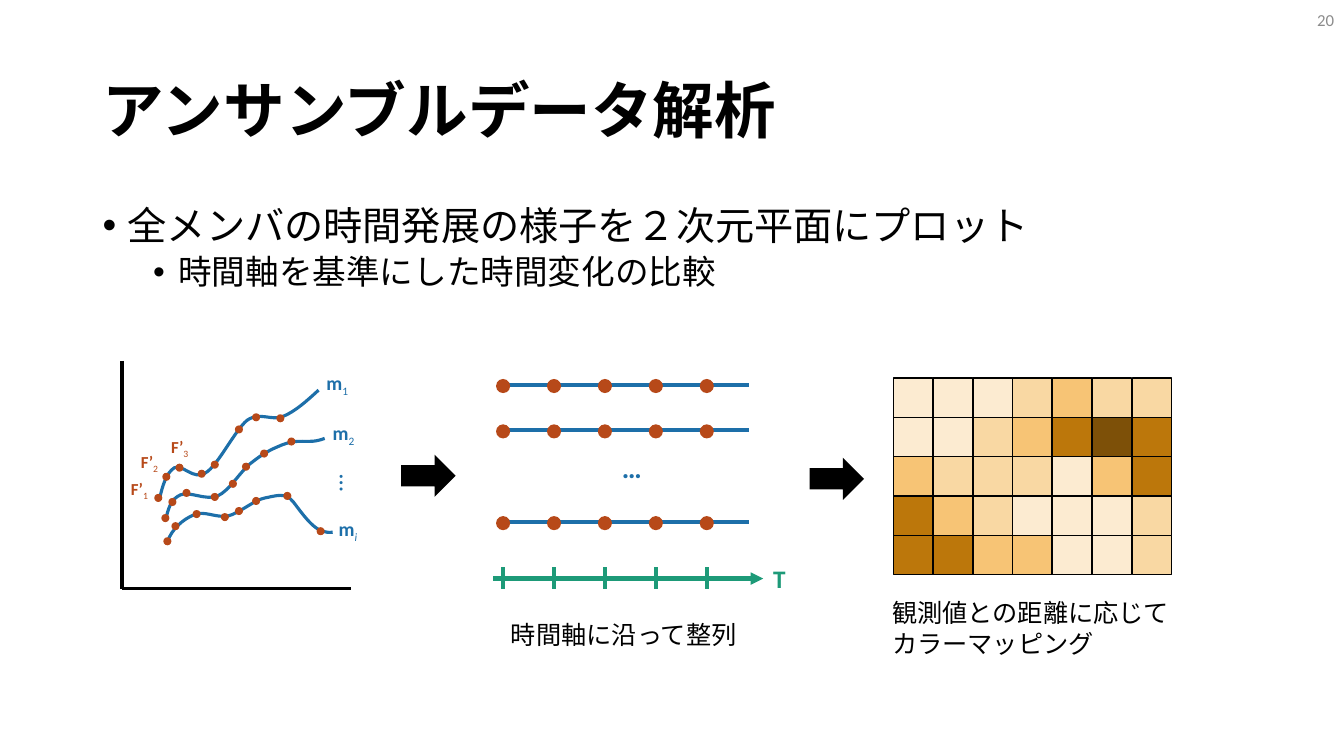
import lxml.etree
import pptx
import pptx.dml.color
import pptx.enum.shapes
import pptx.enum.text
import pptx.oxml.ns
import pptx.util

Inches = pptx.util.Inches
Pt = pptx.util.Pt
RGBColor = pptx.dml.color.RGBColor
SHAPE = pptx.enum.shapes.MSO_SHAPE
ANCHOR = pptx.enum.text.MSO_ANCHOR
ALIGN = pptx.enum.text.PP_ALIGN
qn = pptx.oxml.ns.qn

FONT = "Calibri"
BLACK = RGBColor(0x00, 0x00, 0x00)
GRAY = RGBColor(0x8C, 0x8C, 0x8C)
BLUE = RGBColor(0x1D, 0x6F, 0xA9)
RUST = RGBColor(0xB7, 0x49, 0x19)
GREEN = RGBColor(0x1D, 0x9A, 0x78)
DISTANCE_COLORS = [
    RGBColor(0xFC, 0xEB, 0xD1),
    RGBColor(0xF9, 0xD8, 0xA3),
    RGBColor(0xF7, 0xC4, 0x75),
    RGBColor(0xBC, 0x77, 0x0B),
    RGBColor(0x7D, 0x50, 0x08),
]
DISTANCES = ["0001211", "0012343", "2111023", "3210001", "3322001"]

MEMBER_CURVES = [
    [(1.58, 4.96), (1.61, 4.82), (1.65, 4.69), (1.73, 4.64), (1.81, 4.6), (1.92, 4.77),
     (2.04, 4.69), (2.16, 4.62), (2.33, 4.27), (2.45, 4.17), (2.58, 4.08), (2.69, 4.18),
     (2.81, 4.13), (2.93, 4.08), (3.04, 3.98), (3.16, 3.87)],
    [(1.66, 5.38), (1.7, 5.25), (1.82, 5.15), (1.92, 5.11), (2.02, 5.06), (2.14, 5.14),
     (2.26, 5.12), (2.38, 5.09), (2.52, 4.96), (2.63, 4.94), (2.74, 4.92), (2.83, 4.88),
     (2.91, 4.98), (3.06, 5.18), (3.15, 5.3), (3.3, 5.28)],
    [(1.64, 5.17), (1.67, 5.03), (1.7, 4.95), (1.79, 4.91), (1.88, 4.87), (2.04, 4.97),
     (2.16, 4.92), (2.27, 4.87), (2.37, 4.7), (2.47, 4.61), (2.57, 4.53), (2.64, 4.48),
     (2.76, 4.43), (2.98, 4.33), (3.04, 4.42), (3.22, 4.35)],
]
FRAME_DOTS = [
    (1.53, 4.9), (1.61, 4.69), (1.74, 4.6), (1.96, 4.66), (2.09, 4.57), (2.33, 4.22),
    (2.5, 4.1), (2.74, 4.11),
    (1.6, 5.1), (1.67, 4.94), (1.81, 4.85), (2.09, 4.89), (2.27, 4.76), (2.4, 4.59),
    (2.58, 4.46), (2.85, 4.34),
    (1.62, 5.33), (1.7, 5.18), (1.91, 5.06), (2.19, 5.09), (2.33, 5.03), (2.5, 4.93),
    (2.81, 4.88), (3.14, 5.23),
]


def add_run(paragraph, text, size, color, bold=False):
    """Append a formatted run to a paragraph."""
    run = paragraph.add_run()
    run.text = text
    run.font.name = FONT
    run.font.size = Pt(size)
    run.font.color.rgb = color
    run.font.bold = bold
    return run


def add_box(slide, left, top, width, height, wrap=False, anchor=ANCHOR.TOP):
    """Add an empty text box and return its text frame."""
    box = slide.shapes.add_textbox(Inches(left), Inches(top), Inches(width), Inches(height))
    box.text_frame.word_wrap = wrap
    box.text_frame.vertical_anchor = anchor
    return box.text_frame


def add_label(slide, at, lines, size, color, bold=False):
    """Add an unwrapped label of one or more lines and return its paragraph."""
    paragraph = add_box(slide, *at).paragraphs[0]
    for index, line in enumerate(lines):
        if index:
            paragraph.add_line_break()
        add_run(paragraph, line, size, color, bold)
    return paragraph


def add_symbol(slide, at, letter, subscript, size, color):
    """Add a bold symbol with a light subscript."""
    paragraph = add_label(slide, at, [letter], size, color, True)
    index = add_run(paragraph, subscript, size, color)
    index.font.italic = subscript.isalpha()
    index.font._element.set("baseline", "-25000")


def add_bullet(paragraph, text, size, level, margin):
    """Fill a paragraph as a bulleted item."""
    paragraph.level = level
    properties = paragraph._p.get_or_add_pPr()
    properties.set("marL", str(Inches(margin)))
    properties.set("indent", str(Inches(-0.25)))
    lxml.etree.SubElement(properties, qn("a:buFont")).set("typeface", "Arial")
    lxml.etree.SubElement(properties, qn("a:buChar")).set("char", "•")
    paragraph.line_spacing = 0.9
    add_run(paragraph, text, size, BLACK)


def add_solid(slide, kind, left, top, width, height, fill, outline=None):
    """Add a filled preset shape, outlined only when a color is given."""
    solid = slide.shapes.add_shape(kind, Inches(left), Inches(top), Inches(width), Inches(height))
    solid.shadow.inherit = False
    solid.fill.solid()
    solid.fill.fore_color.rgb = fill
    if outline is None:
        solid.line.fill.background()
    else:
        solid.line.color.rgb = outline
        solid.line.width = Pt(1)


def add_line(slide, x1, y1, x2, y2, color, width, arrow=False):
    """Add a straight line, with an arrowhead at its end if asked."""
    line = slide.shapes.add_connector(
        pptx.enum.shapes.MSO_CONNECTOR.STRAIGHT, Inches(x1), Inches(y1), Inches(x2), Inches(y2))
    line.line.color.rgb = color
    line.line.width = Pt(width)
    if arrow:
        outline = line.line._get_or_add_ln()
        lxml.etree.SubElement(outline, qn("a:tailEnd")).set("type", "triangle")
    lxml.etree.SubElement(line._element.spPr, qn("a:effectLst"))


def add_curve(slide, points):
    """Draw one ensemble member as a chain of cubic Bezier segments."""
    vertices = [(Inches(x), Inches(y)) for x, y in points]
    builder = slide.shapes.build_freeform(*vertices[0])
    builder.add_line_segments(vertices[1:], close=False)
    curve = builder.convert_to_shape()
    segments = list(curve._element.iter(qn("a:lnTo")))
    outline = segments[0].getparent()
    for first in range(0, len(segments), 3):
        bezier = lxml.etree.SubElement(outline, qn("a:cubicBezTo"))
        for segment in segments[first:first + 3]:
            bezier.append(segment[0])
            outline.remove(segment)
    curve.shadow.inherit = False
    curve.fill.background()
    curve.line.color.rgb = BLUE
    curve.line.width = Pt(2.25)


def add_heading(slide):
    """Add the title and the bullets."""
    title = add_box(slide, 0.92, 0.4, 11.5, 1.45, True, ANCHOR.MIDDLE).paragraphs[0]
    title.line_spacing = 0.9
    add_run(title, "アンサンブルデータ解析", 44, BLACK, True)
    body = add_box(slide, 0.92, 2, 11.5, 4.76, True)
    add_bullet(body.paragraphs[0], "全メンバの時間発展の様子を２次元平面にプロット", 28, 0, 0.25)
    detail = body.add_paragraph()
    add_bullet(detail, "時間軸を基準にした時間変化の比較", 24, 1, 0.75)
    detail.space_before = Pt(5)


def add_page_number(slide):
    """Add the page number at the top right."""
    page = add_box(slide, 10.33, 0, 3, 0.4, True, ANCHOR.MIDDLE).paragraphs[0]
    page.alignment = ALIGN.RIGHT
    add_run(page, "20", 12, GRAY)


def add_member_plot(slide):
    """Draw the members as curves in a plane."""
    for points in MEMBER_CURVES:
        add_curve(slide, points)
    for left, top, width, subscript in [
            (3.14, 3.63, 0.43, "1"), (3.2, 4.13, 0.43, "2"), (3.26, 5.08, 0.39, "i")]:
        add_symbol(slide, (left, top, width, 0.34), "m", subscript, 14, BLUE)
    add_label(slide, (3.28, 4.6, 0.38, 0.4), ["…"], 18, BLUE)
    slide.shapes[-1].rotation = 90
    add_line(slide, 1.21, 3.58, 1.21, 5.84, BLACK, 2.25)
    add_line(slide, 3.48, 5.84, 1.21, 5.84, BLACK, 2.25)
    for left, top in FRAME_DOTS:
        add_solid(slide, SHAPE.OVAL, left, top, 0.08, 0.08, RUST)
    for left, top, subscript in [(1.2, 4.7, "1"), (1.3, 4.43, "2"), (1.6, 4.28, "3")]:
        add_symbol(slide, (left, top, 0.38, 0.3), "F’", subscript, 12, RUST)


def add_timelines(slide):
    """Draw the members aligned along the time axis."""
    times = [4.99 + 2.02 / 4 * step for step in range(5)]
    for y in (3.82, 4.27, 5.18):
        add_line(slide, times[0], y, 7.43, y, BLUE, 3)
        for x in times:
            add_solid(slide, SHAPE.OVAL, x - 0.07, y - 0.06, 0.14, 0.14, RUST)
    add_label(slide, (6.07, 4.42, 0.4, 0.44), ["…"], 20, BLUE, True)
    add_label(slide, (7.57, 5.54, 0.32, 0.4), ["T"], 18, GREEN, True)
    add_line(slide, 4.89, 5.74, 7.57, 5.74, GREEN, 3, arrow=True)
    for x in times:
        add_line(slide, x, 5.63, x, 5.84, GREEN, 3)
    add_label(slide, (4.97, 6.09, 2.47, 0.4), ["時間軸に沿って整列"], 18, BLACK)
    add_solid(slide, SHAPE.RIGHT_ARROW, 3.98, 4.51, 0.54, 0.42, BLACK)


def add_color_map(slide):
    """Draw the grid colored by distance from the observation."""
    for row, levels in enumerate(DISTANCES):
        for column, level in enumerate(levels):
            add_solid(slide, SHAPE.RECTANGLE, 8.86 + 2.37 / 6 * column, 3.75 + 0.39 * row,
                      0.39, 0.39, DISTANCE_COLORS[int(level)], BLACK)
    add_label(slide, (8.75, 5.88, 2.98, 0.71),
              ["観測値との距離に応じて", "カラーマッピング"], 18, BLACK)
    add_solid(slide, SHAPE.RIGHT_ARROW, 8.03, 4.54, 0.54, 0.42, BLACK)


def main():
    """Build the slide and save it."""
    deck = pptx.Presentation()
    deck.slide_width, deck.slide_height = Inches(13.33), Inches(7.5)
    slide = deck.slides.add_slide(deck.slide_layouts[6])
    for add_part in (add_heading, add_member_plot, add_timelines, add_color_map, add_page_number):
        add_part(slide)
    deck.save("out.pptx")


if __name__ == "__main__":
    main()
